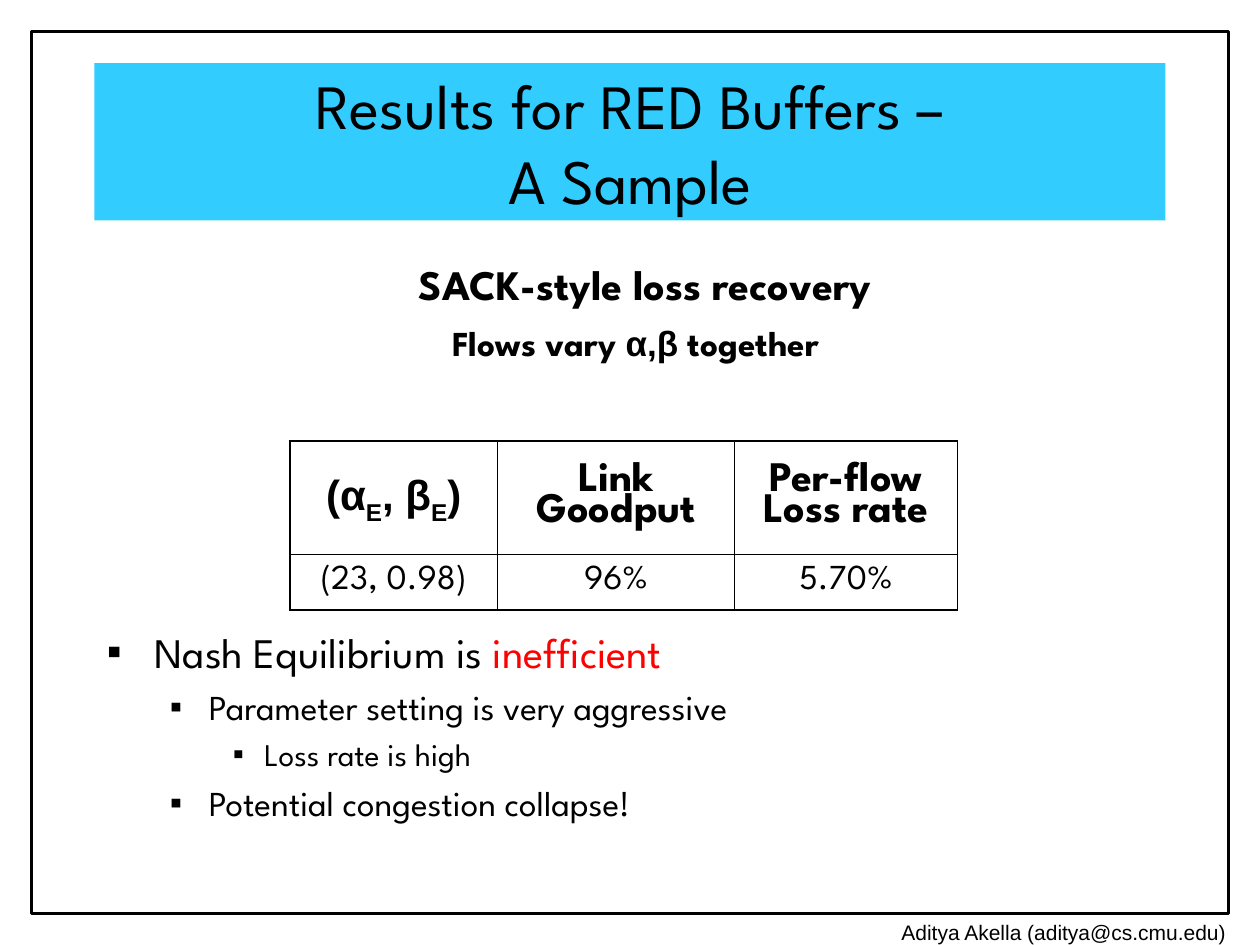
"""Build the slide on results for RED buffers."""
import pptx
import pptx.util
import pptx.dml.color
import pptx.enum.shapes
import pptx.enum.text
import pptx.oxml
import pptx.oxml.ns

Inches = pptx.util.Inches
Pt = pptx.util.Pt
ALIGN = pptx.enum.text.PP_ALIGN
MIDDLE = pptx.enum.text.MSO_ANCHOR.MIDDLE

COLORS = {"ink": "000000", "band": "33CCFF", "alert": "FF0000"}
MAIN = "League Spartan"
PLAIN = "Arial"
THICK, THIN = 1.08, 0.45
LEVELS = [(24, 0.38, 0.38, 6), (20, 0.81, 0.31, 5), (18, 1.25, 0.25, 4.5)]


def rgb(name):
    return pptx.dml.color.RGBColor.from_string(COLORS[name])


def put(item, values):
    for name, value in values.items():
        setattr(item, name, value)


def make(tag, inner="", **attrs):
    pairs = "".join(f' {key}="{value}"' for key, value in attrs.items())
    space = pptx.oxml.ns.nsdecls("a")
    return pptx.oxml.parse_xml(f"<a:{tag} {space}{pairs}>{inner}</a:{tag}>")


def write(para, parts, size, **values):
    for part in parts:
        text, extra = part if isinstance(part, tuple) else (part, {})
        style = {"size": Pt(size), "name": MAIN, "bold": False, **values, **extra}
        color = style.pop("color", "ink")
        base = style.pop("base", 0)
        for count, line in enumerate(text.split("\n")):
            if count:
                para.add_line_break()
            run = para.add_run()
            run.text = line
            put(run.font, style)
            run.font.color.rgb = rgb(color)
            if base:
                run.font._element.set("baseline", str(base))


def add_box(slide, place, parts=(), size=18, align=ALIGN.CENTER, **values):
    box = slide.shapes.add_textbox(*map(Inches, place))
    box.text_frame.word_wrap = True
    para = box.text_frame.paragraphs[0]
    para.alignment = align
    write(para, parts, size, **values)
    return box


def add_frame(slide):
    kind = pptx.enum.shapes.MSO_SHAPE.RECTANGLE
    frame = slide.shapes.add_shape(kind, *map(Inches, (0.25, 0.25, 9.5, 7)))
    frame.shadow.inherit = False
    frame.fill.background()
    frame.line.color.rgb = rgb("ink")
    frame.line.width = Pt(1.5)


def add_title(slide, text):
    box = add_box(slide, (0.75, 0.5, 8.5, 1.25), [text], 36)
    box.text_frame.vertical_anchor = MIDDLE
    box.fill.solid()
    box.fill.fore_color.rgb = rgb("band")


def add_list(slide, place, items):
    frame = add_box(slide, place).text_frame
    for count, (level, parts) in enumerate(items):
        para = frame.add_paragraph() if count else frame.paragraphs[0]
        size, left, hang, gap = LEVELS[level]
        props = para._p.get_or_add_pPr()
        props.set("marL", str(Inches(left)))
        props.set("indent", str(-Inches(hang)))
        put(para, {"alignment": ALIGN.LEFT, "level": level})
        if count:
            para.space_before = Pt(gap)
        ink = f'<a:srgbClr val="{COLORS["ink"]}"/>'
        props.append(make("buClr", ink))
        props.append(make("buFont", typeface=PLAIN))
        props.append(make("buChar", char="▪"))
        write(para, parts, size)


def add_edges(cell, widths):
    props = cell._tc.get_or_add_tcPr()
    ink = f'<a:solidFill><a:srgbClr val="{COLORS["ink"]}"/></a:solidFill>'
    for count, (side, width) in enumerate(zip("LRTB", widths)):
        props.insert(count, make("ln" + side, ink, w=int(Pt(width))))


def add_grid(slide, place, cols, rows, cells):
    shape = slide.shapes.add_table(len(rows), len(cols), *map(Inches, place))
    table = shape.table
    put(table, {"first_row": False, "horz_banding": False})
    for col, width in zip(table.columns, cols):
        col.width = Inches(width)
    for row, height in zip(table.rows, rows):
        row.height = Inches(height)
    for y, line in enumerate(cells):
        for x, parts in enumerate(line):
            cell = table.cell(y, x)
            put(cell, {"vertical_anchor": MIDDLE})
            cell.fill.background()
            para = cell.text_frame.paragraphs[0]
            put(para, {"alignment": ALIGN.CENTER, "line_spacing": 0.8})
            write(para, parts, 20 if y else 24, bold=y == 0)
            ends = (x == 0, x == len(cols) - 1, y == 0, y == len(rows) - 1)
            add_edges(cell, [THICK if end else THIN for end in ends])


def main():
    deck = pptx.Presentation()
    put(deck, {"slide_width": Inches(10), "slide_height": Inches(7.5)})
    slide = deck.slides.add_slide(deck.slide_layouts[6])
    add_frame(slide)
    add_box(slide, (5.83, 7.25, 4, 0.42), ["Aditya Akella (aditya@cs.cmu.edu)"],
            12, ALIGN.RIGHT, name=PLAIN)
    add_title(slide, "Results for RED Buffers –\nA Sample")
    add_list(slide, (0.75, 4.92, 8.5, 2.17), [
        (0, ["Nash Equilibrium is ", ("inefficient", {"color": "alert"})]),
        (1, ["Parameter setting is very aggressive"]),
        (2, ["Loss rate is high"]),
        (1, ["Potential congestion collapse!"]),
    ])
    add_box(slide, (2.58, 2, 5.08, 0.5), ["SACK-style loss recovery"], 24, bold=True)
    greek = {"name": PLAIN}
    sub = ("Ε", {"name": PLAIN, "base": -25000})
    add_box(slide, (2.92, 2.5, 4.25, 0.44),
            ["Flows vary ", ("α,β", greek), " together"], 20, bold=True)
    head = [("(α", greek), sub, (", β", greek), sub, (")", greek)]
    add_grid(slide, (2.3, 3.5, 5.3, 1.34), (1.65, 1.88, 1.77), (0.9, 0.44), [
        [head, ["Link Goodput"], ["Per-flow Loss rate"]],
        [["(23, 0.98)"], ["96%"], ["5.70%"]],
    ])
    deck.save("out.pptx")


if __name__ == "__main__":
    main()
